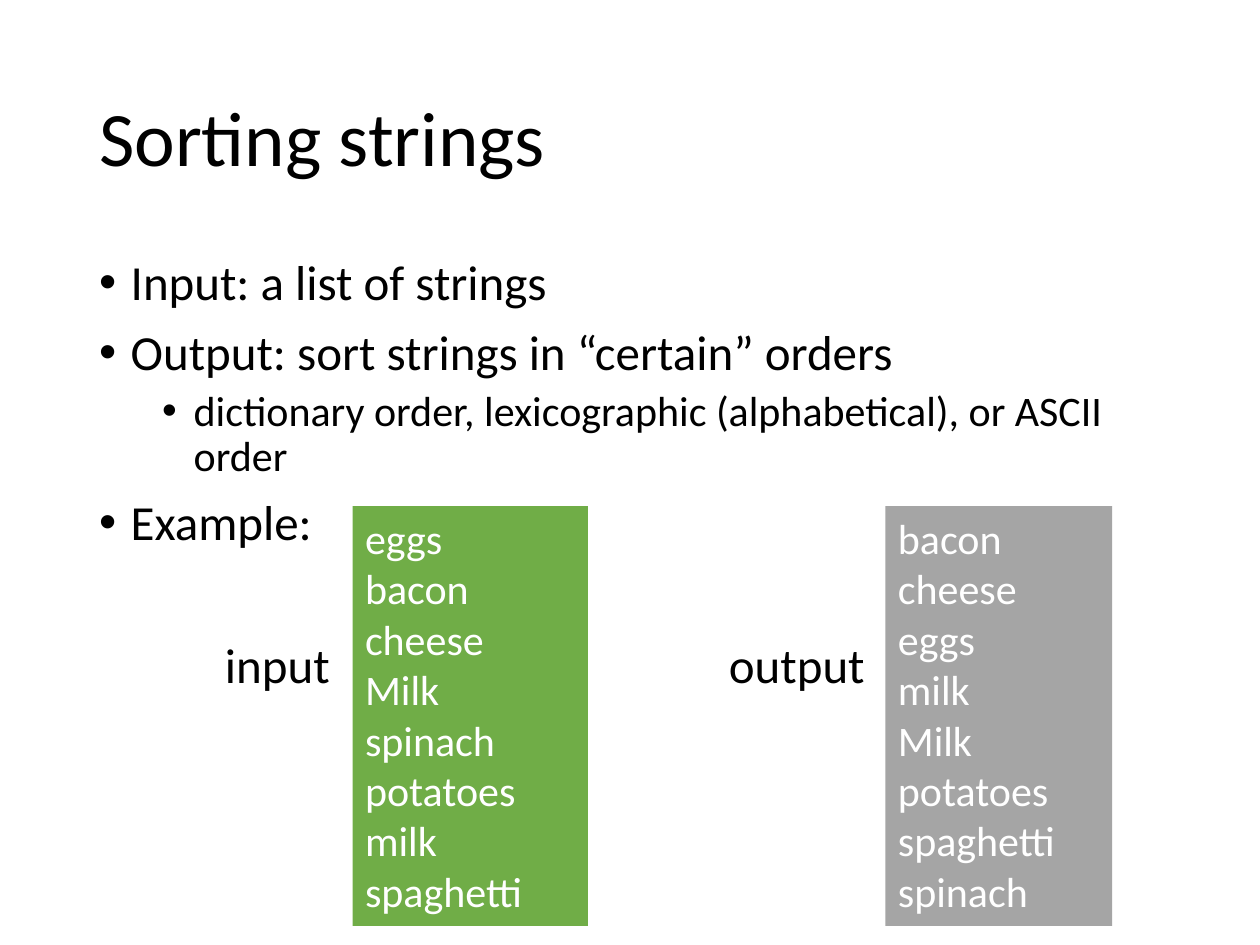
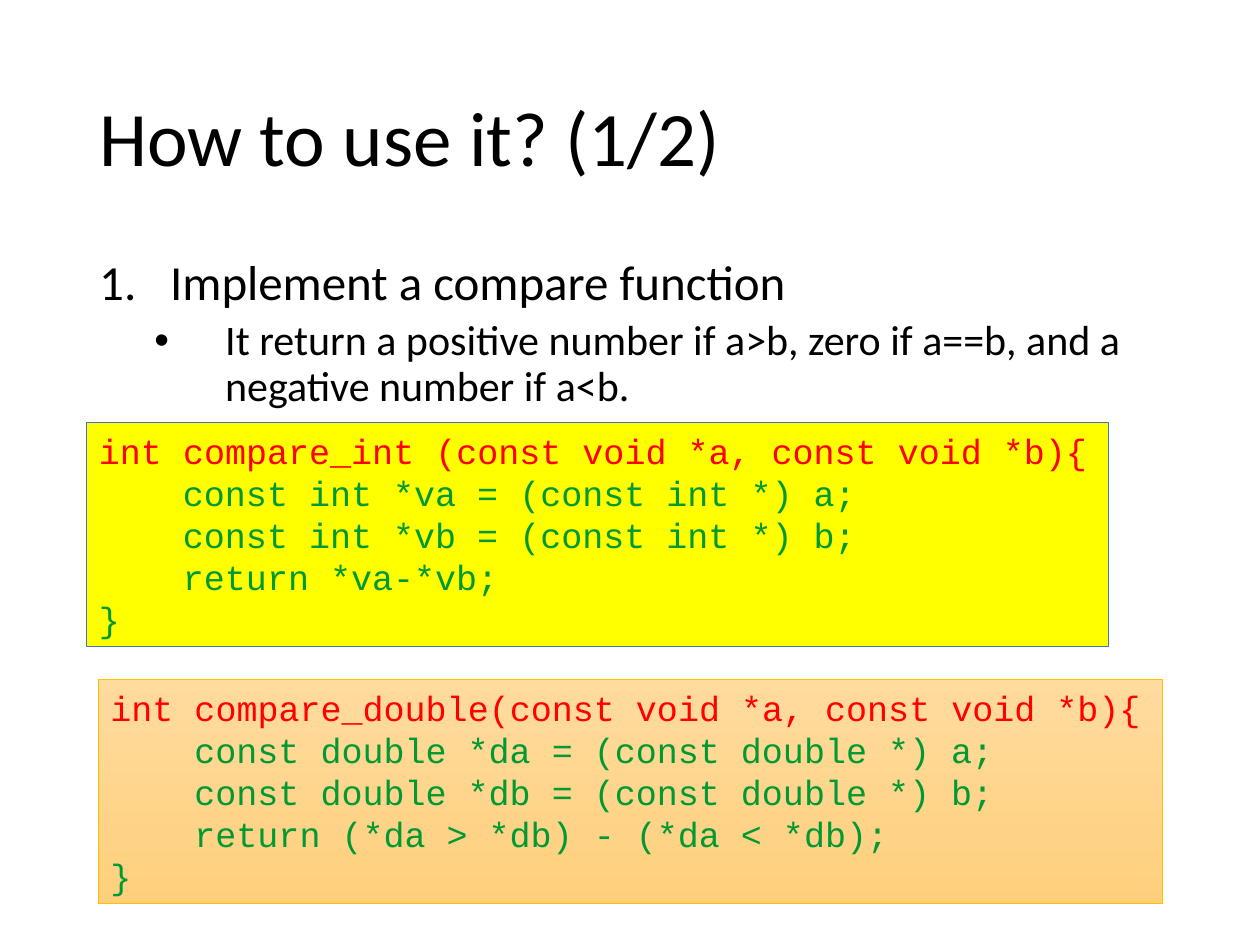
from lxml import etree
from pptx import Presentation
from pptx import util as u
from pptx.dml import color
from pptx.enum import shapes, text
from pptx.oxml import ns

BLACK, WHITE = "000000", "FFFFFF"
RED, GREEN = "FF0000", "009933"
BODY_FONT, CODE_FONT = "Calibri", "Courier New"
CONTENT_LEFT, CONTENT_WIDTH = 49.5, 621


def rgb(value):
    return color.RGBColor.from_string(value)


def add_property(properties, tag, **attributes):
    return etree.SubElement(properties, ns.qn(tag), attributes)


def write(paragraph, content, *, size, font=BODY_FONT, ink=BLACK, spacing=1.0,
          before=0, left=0, hanging=0, bullet=None):
    paragraph.alignment = text.PP_ALIGN.LEFT
    paragraph.line_spacing = spacing
    paragraph.space_before = u.Pt(before)
    run = paragraph.add_run()
    run.text = content
    run.font.name, run.font.size = font, u.Pt(size)
    run.font.color.rgb = rgb(ink)
    properties = paragraph._p.get_or_add_pPr()
    properties.set("marL", str(u.Pt(left)))
    properties.set("indent", str(u.Pt(-hanging)))
    if bullet == "number":
        add_property(properties, "a:buFont", typeface="+mj-lt")
        add_property(properties, "a:buAutoNum", type="arabicPeriod")
    elif bullet:
        add_property(properties, "a:buFont", typeface="Arial")
        add_property(properties, "a:buChar", char=bullet)
    else:
        add_property(properties, "a:buNone")


def write_all(frame, items):
    for index, (content, style) in enumerate(items):
        paragraph = frame.add_paragraph() if index else frame.paragraphs[0]
        write(paragraph, content, **style)


class Deck:
    def __init__(self):
        self.presentation = Presentation()
        self.presentation.slide_width = u.Pt(720)
        self.presentation.slide_height = u.Pt(540)
        self.slide = None

    def start_slide(self, title):
        layout = self.presentation.slide_layouts[1]
        self.slide = self.presentation.slides.add_slide(layout)
        frame = self.fill_placeholder(0, 28.75, 104.4, text.MSO_ANCHOR.MIDDLE)
        write(frame.paragraphs[0], title, size=44, spacing=0.9)

    def fill_placeholder(self, index, top, height, anchor):
        shape = self.slide.placeholders[index]
        shape.left, shape.top = u.Pt(CONTENT_LEFT), u.Pt(top)
        shape.width, shape.height = u.Pt(CONTENT_WIDTH), u.Pt(height)
        shape.text_frame.auto_size = text.MSO_AUTO_SIZE.NONE
        shape.text_frame.vertical_anchor = anchor
        return shape.text_frame

    def add_body(self, items):
        frame = self.fill_placeholder(1, 143.75, 342.6, text.MSO_ANCHOR.TOP)
        write_all(frame, items)

    def add_label(self, left, content):
        label = self.slide.shapes.add_textbox(u.Pt(left), u.Pt(359), u.Pt(100), u.Pt(42))
        label.text_frame.word_wrap = True
        write(label.text_frame.paragraphs[0], content, size=28)

    def add_panel(self, left, top, width, height, fill, items, outline=None,
                  anchor=text.MSO_ANCHOR.TOP):
        shape = self.slide.shapes.add_shape(
            shapes.MSO_SHAPE.RECTANGLE, u.Pt(left), u.Pt(top), u.Pt(width), u.Pt(height))
        shape.shadow.inherit = False
        if isinstance(fill, tuple):
            shape.fill.gradient()
            shape.fill.gradient_angle = 270
            for stop, value in zip(shape.fill.gradient_stops, fill):
                stop.color.rgb = rgb(value)
        else:
            shape.fill.solid()
            shape.fill.fore_color.rgb = rgb(fill)
        if outline:
            shape.line.color.rgb = rgb(outline)
            shape.line.width = u.Pt(0.5)
        else:
            shape.line.fill.background()
        shape.text_frame.word_wrap = True
        shape.text_frame.vertical_anchor = anchor
        write_all(shape.text_frame, items)

    def add_word_list(self, left, width, fill, words):
        style = dict(size=24, ink=WHITE)
        self.add_panel(left, 289.3, width, 239.8, fill, [(word, style) for word in words])

    def add_code(self, left, top, width, fill, outline, signature, statements):
        style = dict(size=20, font=CODE_FONT, ink=GREEN)
        lines = [(signature, {**style, "ink": RED})]
        lines += [(statement, {**style, "left": 48}) for statement in statements]
        lines.append(("}", style))
        self.add_panel(left, top, width, 128.2, fill, lines, outline, text.MSO_ANCHOR.MIDDLE)


def main():
    deck = Deck()
    main_text = dict(size=28, spacing=0.9, before=10)
    sub_text = dict(size=24, spacing=0.9, before=5, bullet="•")
    main_point = dict(main_text, left=18, hanging=18, bullet="•")

    deck.start_slide("Sorting strings")
    deck.add_body([
        ("Input: a list of strings", main_point),
        ("Output: sort strings in “certain” orders", main_point),
        ("dictionary order, lexicographic (alphabetical), or ASCII order",
         dict(sub_text, left=54, hanging=18)),
        ("Example:", main_point),
    ])
    words = ["eggs", "bacon", "cheese", "Milk", "spinach", "potatoes", "milk", "spaghetti"]
    ordered = sorted(words, key=lambda word: (word.lower(), word.istitle()))
    deck.add_label(121.5, "input")
    deck.add_word_list(201.5, 134.5, "70AD47", words)
    deck.add_label(409.5, "output")
    deck.add_word_list(506, 129.5, "A5A5A5", ordered)

    deck.start_slide("How to use it? (1/2)")
    deck.add_body([
        ("Implement a compare function",
         dict(main_text, left=40.5, hanging=40.5, bullet="number")),
        ("It return a positive number if a>b, zero if a==b, and a negative number if a<b.",
         dict(sub_text, left=72, hanging=40.5)),
    ])
    deck.add_code(49.5, 241.2, 584, "FFFF00", "4472C4",
                  "int compare_int (const void *a, const void *b){",
                  ["const int *va = (const int *) a;",
                   "const int *vb = (const int *) b;",
                   "return *va-*vb;"])
    deck.add_code(56, 388.3, 608.5, ("FFDB9E", "FFD07C"), "FFC000",
                  "int compare_double(const void *a, const void *b){",
                  ["const double *da = (const double *) a;",
                   "const double *db = (const double *) b;",
                   "return (*da > *db) - (*da < *db);"])
    deck.presentation.save("out.pptx")


if __name__ == "__main__":
    main()
